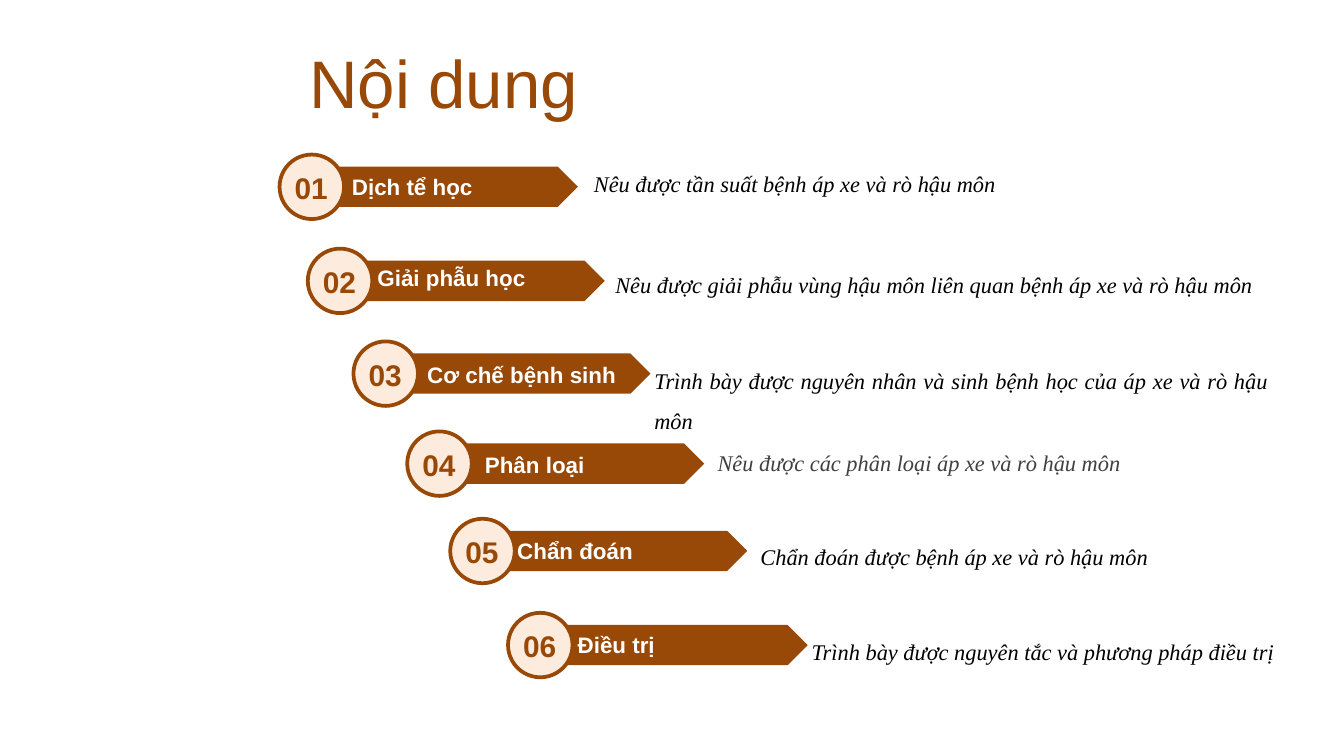
from dataclasses import dataclass
from typing import Optional

from pptx import Presentation, util as u
from pptx.dml.color import RGBColor
from pptx.enum import shapes, text

PX = 9144  # 100 px to the inch
SLIDE_WIDTH = 1000
GOAL_RIGHT_INDENT = 42
BROWN = RGBColor(0x98, 0x48, 0x07)
CREAM = RGBColor(0xFD, 0xEC, 0xDD)
WHITE = RGBColor(0xFF, 0xFF, 0xFF)
BLACK = RGBColor(0x00, 0x00, 0x00)
GREY = RGBColor(0x40, 0x40, 0x40)

TITLE = dict(name="Arial", size=u.Pt(36), bold=False)
NUMBER = dict(name="Arial", size=u.Pt(16), bold=True)
LABEL = dict(name="Arial", size=u.Pt(12), bold=True)
GOAL = dict(name="Times New Roman", size=u.Pt(12), italic=True)

PLAIN = dict(alignment=text.PP_ALIGN.LEFT)
CENTRED = dict(alignment=text.PP_ALIGN.CENTER)
JUSTIFIED = dict(alignment=text.PP_ALIGN.JUSTIFY, line_spacing=1.5)


@dataclass
class Topic:
    """A step of the outline; without label_box the label sits in the arrow."""
    circle: tuple
    arrow_left: int
    label: str
    label_box: Optional[tuple]
    goal: str
    goal_box: tuple
    goal_layout: dict
    goal_color: RGBColor = BLACK


TOPICS = [
    Topic((208, 115), 249, "Dịch tể học", (252, 124, 142, 30),
          "Nêu được tần suất bệnh áp xe và rò hậu môn",
          (432, 122, 402, 30), PLAIN),
    Topic((229, 185), 269, "Giải phẫu học", (271, 192, 142, 30),
          "Nêu được giải phẫu vùng hậu môn liên quan bệnh áp xe và rò hậu môn",
          (448, 187, 538, 40), JUSTIFIED),
    Topic((263, 254), 303, "Cơ chế bệnh sinh", (308, 264, 171, 30),
          "Trình bày được nguyên nhân và sinh bệnh học của áp xe và rò hậu môn",
          (477, 258, 519, 67), JUSTIFIED),
    Topic((303, 321), 343, "Phân loại", (351, 331, 142, 30),
          "Nêu được các phân loại áp xe và rò hậu môn",
          (524, 329, 362, 30), PLAIN, GREY),
    Topic((335, 386), 375, "Chẩn đoán", None,
          "Chẩn đoán được bệnh áp xe và rò hậu môn",
          (556, 389, 356, 40), JUSTIFIED),
    Topic((378, 456), 420, "Điều trị", None,
          "Trình bày được nguyên tắc và phương pháp điều trị",
          (594, 460, 500, 37), JUSTIFIED),
]


def scaled(*lengths):
    return [length * PX for length in lengths]


def apply_format(target, values):
    for key, value in values.items():
        setattr(target, key, value)


def write(frame, words, font, color, layout=PLAIN):
    frame.text = words
    paragraph = frame.paragraphs[0]
    apply_format(paragraph, layout)
    if layout is JUSTIFIED:
        properties = paragraph._p.get_or_add_pPr()
        properties.set("marR", str(GOAL_RIGHT_INDENT * PX))
    run = paragraph.runs[0]
    apply_format(run.font, font)
    run.font.color.rgb = color


def add_text(parent, box, words, font, color, layout=PLAIN, wrap=True,
             anchor=text.MSO_ANCHOR.TOP):
    frame = parent.add_textbox(*scaled(*box)).text_frame
    apply_format(frame, dict(word_wrap=wrap, vertical_anchor=anchor,
                             auto_size=text.MSO_AUTO_SIZE.SHAPE_TO_FIT_TEXT))
    write(frame, words, font, color, layout)


def add_filled(parent, kind, box, fill, line=None):
    figure = parent.add_shape(kind, *scaled(*box))
    figure.shadow.inherit = False
    figure.fill.solid()
    figure.fill.fore_color.rgb = fill
    if line is None:
        figure.line.fill.background()
    else:
        figure.line.color.rgb = line
        figure.line.width = u.Pt(2)
    return figure


def add_badge(slide, number, topic):
    """Group the arrow, the circle over its tail and the number."""
    badge = slide.shapes.add_group_shape().shapes
    left, top = topic.circle
    arrow = add_filled(badge, shapes.MSO_SHAPE.PENTAGON,
                       (topic.arrow_left, top + 9, 181, 30), BROWN)
    if topic.label_box is None:
        arrow.text_frame.vertical_anchor = text.MSO_ANCHOR.MIDDLE
        write(arrow.text_frame, topic.label, LABEL, WHITE)
    add_filled(badge, shapes.MSO_SHAPE.OVAL, (left, top, 48, 48), CREAM, BROWN)
    add_text(badge, (left + 1, top + 6, 45, 37), f"{number:02}", NUMBER, BROWN,
             CENTRED, wrap=False, anchor=text.MSO_ANCHOR.MIDDLE)


def add_topic(slide, number, topic):
    add_badge(slide, number, topic)
    if topic.label_box:
        add_text(slide.shapes, topic.label_box, topic.label, LABEL, WHITE)
    add_text(slide.shapes, topic.goal_box, topic.goal, GOAL,
             topic.goal_color, topic.goal_layout)


def set_title(slide, words):
    title = slide.shapes.title
    apply_format(title, dict(zip(("left", "top", "width", "height"),
                                 scaled(220, 29, 736, 63))))
    apply_format(title.text_frame, dict(
        vertical_anchor=text.MSO_ANCHOR.MIDDLE, word_wrap=True,
        auto_size=text.MSO_AUTO_SIZE.NONE))
    write(title.text_frame, words, TITLE, BROWN)


def main():
    deck = Presentation()
    deck.slide_width = SLIDE_WIDTH * PX
    deck.slide_height = deck.slide_width * 9 // 16
    slide = deck.slides.add_slide(deck.slide_layouts[5])
    set_title(slide, "Nội dung")
    for number, topic in enumerate(TOPICS, start=1):
        add_topic(slide, number, topic)
    deck.save("out.pptx")


if __name__ == "__main__":
    main()
